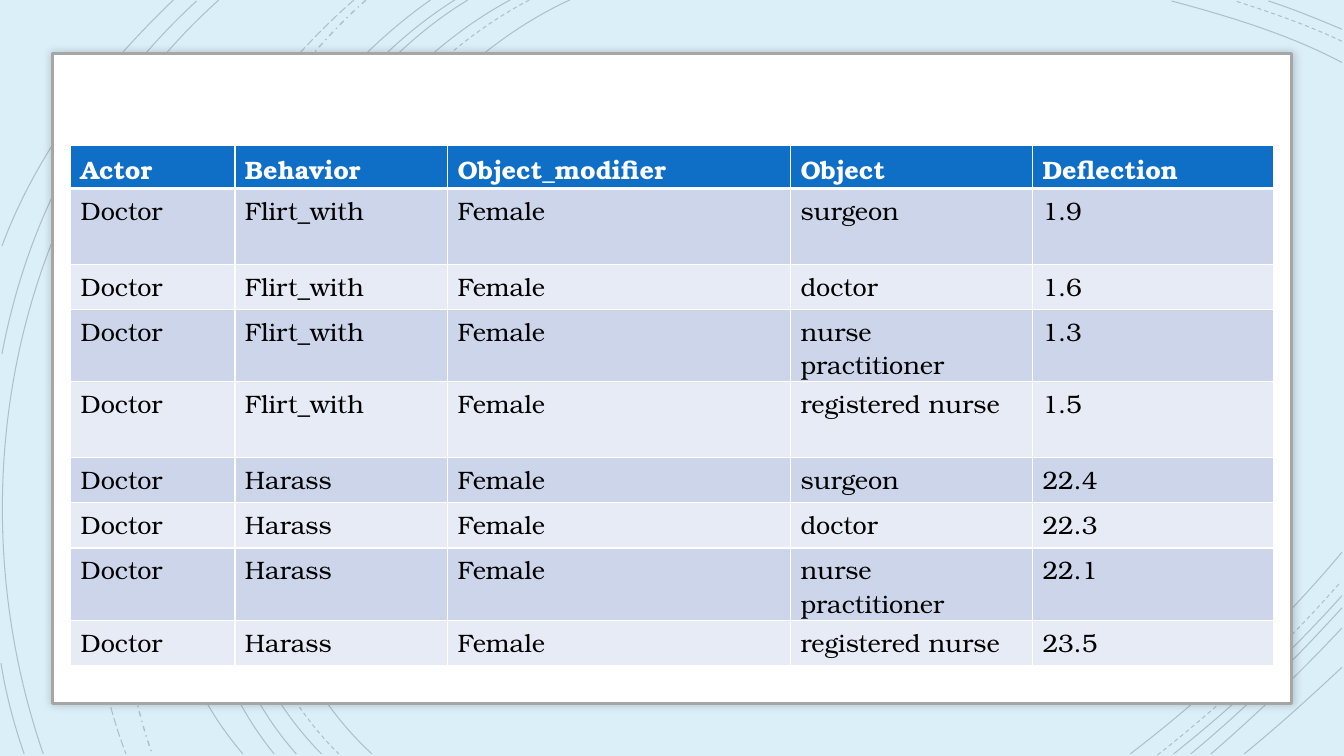
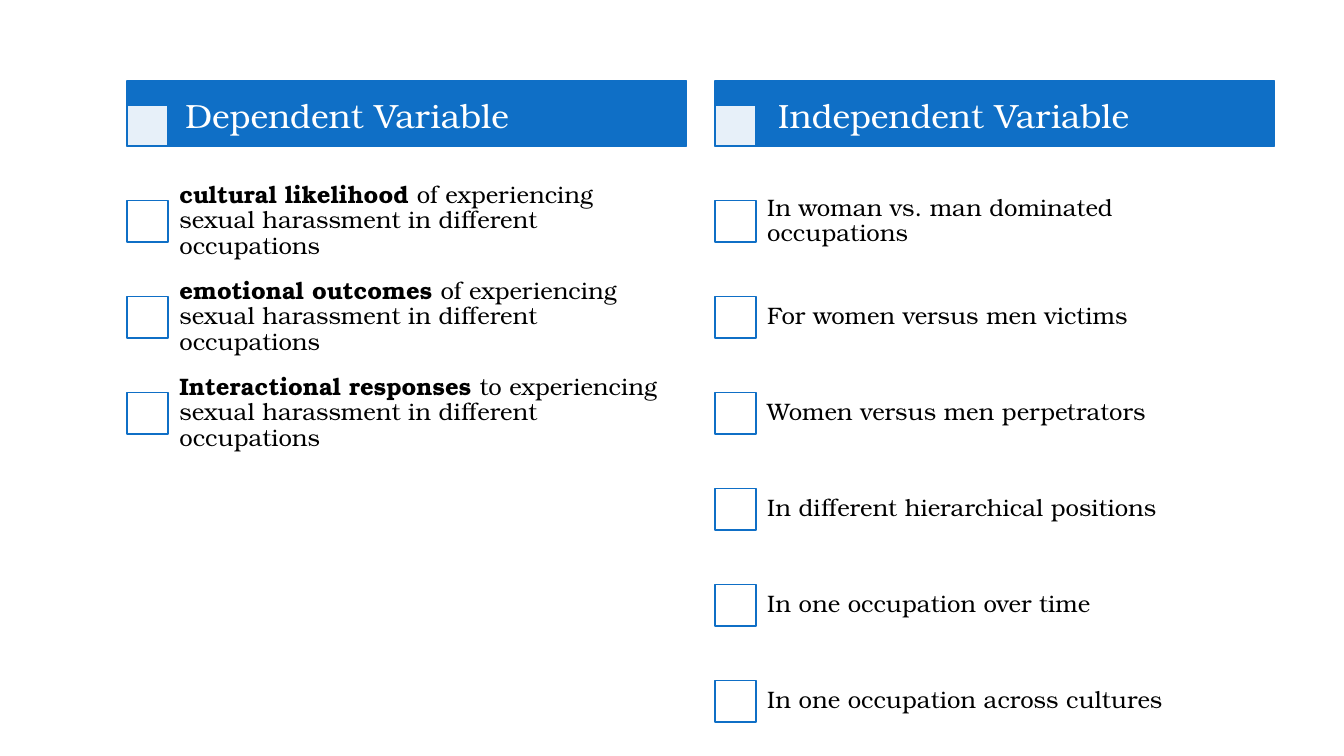
import itertools

import lxml.etree
import pptx
import pptx.dml.color
import pptx.enum.dml
import pptx.enum.shapes
import pptx.enum.text
import pptx.oxml.ns
import pptx.util

Inches = pptx.util.Inches
Pt = pptx.util.Pt
qn = pptx.oxml.ns.qn
Dash = pptx.enum.dml.MSO_LINE

BLUE, WHITE, BLACK = "0F6FC6", "FFFFFF", "000000"
SKY, GREY = "DBEFF9", "A6A6A6"
BANDS = ("CCD5EA", "E7EBF5")

CURVES = [
    ((5.65, 0), (3.15, 1.15), (1.43, 5.4), (3.69, 7.48), Dash.SOLID),
    ((13.31, 0.62), (12.78, 0.34), (12.18, 0.16), (11.62, 0.01), Dash.SOLID),
    ((11.21, 7.48), (11.97, 6.9), (12.69, 6.22), (13.31, 5.48), Dash.SOLID),
    ((5.25, 0), (2.85, 1.25), (1.23, 5.37), (3.36, 7.48), Dash.DASH),
    ((13.31, 0.41), (12.97, 0.25), (12.6, 0.12), (12.25, 0.01), Dash.DASH),
    ((11.48, 7.49), (12.13, 6.98), (12.75, 6.4), (13.3, 5.77), Dash.DASH),
    ((5.06, 0), (2.7, 1.27), (1.1, 5.37), (3.19, 7.48), Dash.SOLID),
    ((13.31, 0.29), (13.07, 0.19), (12.83, 0.09), (12.58, 0.01), Dash.SOLID),
    ((11.64, 7.48), (12.23, 7.01), (12.8, 6.48), (13.31, 5.91), Dash.SOLID),
    ((4.64, 0), (2.44, 1.33), (1.1, 5.41), (2.94, 7.48), Dash.SOLID),
    ((11.81, 7.48), (12.34, 7.04), (12.84, 6.55), (13.31, 6.03), Dash.SOLID),
    ((4.51, 0), (2.31, 1.38), (0.97, 5.33), (2.72, 7.48), Dash.SOLID),
    ((12.01, 7.48), (12.46, 7.09), (12.9, 6.67), (13.31, 6.23), Dash.SOLID),
    ((4.27, 0), (2.17, 1.47), (0.53, 5.29), (2.41, 7.48), Dash.SOLID),
    ((12.34, 7.48), (12.67, 7.21), (12.99, 6.92), (13.31, 6.62), Dash.SOLID),
    ((3.63, 0), (1.76, 1.66), (0.65, 5.09), (1.51, 7.48), Dash.DASH_DOT),
    ((3.51, 0), (1.57, 1.69), (0.29, 4.99), (1.25, 7.48), Dash.LONG_DASH),
    ((2.17, 0), (0.11, 1.85), (-0.46, 4.9), (0.43, 7.48), Dash.SOLID),
    ((1.95, 0.01), (0.92, 0.96), (0.28, 2.14), (0.02, 3.51), Dash.SOLID),
    ((0.01, 6.58), (0.06, 6.89), (0.14, 7.19), (0.24, 7.48), Dash.SOLID),
    ((1.72, 0), (1, 0.69), (0.37, 1.5), (0.02, 2.44), Dash.SOLID),
]

HEADINGS = ("Actor", "Behavior", "Object_modifier", "Object", "Deflection")
BEHAVIORS = ("Flirt_with", "Harass")
OBJECTS = ("surgeon", "doctor", "nurse practitioner", "registered nurse")
DEFLECTIONS = ("1.9", "1.6", "1.3", "1.5", "22.4", "22.3", "22.1", "23.5")
COLUMN_WIDTHS = (1.63, 2.11, 3.4, 2.4, 2.39)
ROW_HEIGHTS = (0.43, 0.75, 0.45, 0.7, 0.75, 0.45, 0.45, 0.7, 0.45)

OUTCOME = "experiencing sexual harassment in different occupations"
DEPENDENT = [
    [("cultural likelihood ", True), ("of " + OUTCOME, False)],
    [("emotional outcomes ", True), ("of " + OUTCOME, False)],
    [("Interactional responses ", True), ("to " + OUTCOME, False)],
]
INDEPENDENT = [
    [(text, False)]
    for text in (
        "In woman vs. man dominated occupations",
        "For women versus men victims",
        "Women versus men perpetrators",
        "In different hierarchical positions",
        "In one occupation over time",
        "In one occupation across cultures",
    )
]


def color(code):
    return pptx.dml.color.RGBColor.from_string(code)


def set_alpha(parent, percent):
    for node in parent.iter(qn("a:srgbClr")):
        lxml.etree.SubElement(node, qn("a:alpha"), val=str(percent * 1000))


class Painter:
    """Holds the deck style and draws elements on the current slide."""

    font = "TeX Gyre Bonum"

    def __init__(self):
        self.deck = pptx.Presentation()
        self.deck.slide_width = Inches(13.33)
        self.deck.slide_height = Inches(7.5)
        self.page = None

    def add_page(self, background):
        self.page = self.deck.slides.add_slide(self.deck.slide_layouts[6])
        self.page.background.fill.solid()
        self.page.background.fill.fore_color.rgb = color(background)

    def style(self, span, size, code, bold=False):
        span.font.name = self.font
        span.font.size = Pt(size)
        span.font.bold = bold
        span.font.color.rgb = color(code)

    def curve(self, start, first, second, end, dash):
        points = [(Inches(x), Inches(y)) for x, y in (start, first, second, end)]
        builder = self.page.shapes.build_freeform(*points[0])
        builder.add_line_segments(points[1:], close=False)
        arc = builder.convert_to_shape()
        segments = list(arc._element.iter(qn("a:lnTo")))
        bezier = lxml.etree.SubElement(segments[0].getparent(), qn("a:cubicBezTo"))
        for segment in segments:
            bezier.append(segment[0])
            segment.getparent().remove(segment)
        arc.shadow.inherit = False
        arc.fill.background()
        arc.line.color.rgb = color(BLACK)
        arc.line.width = Pt(1 if dash == Dash.DASH_DOT else 0.75)
        arc.line.dash_style = dash
        set_alpha(arc._element.spPr.find(qn("a:ln")), 20)

    def rectangle(self, left, top, width, height, fill, line, weight=1.25, opacity=100):
        box = self.page.shapes.add_shape(
            pptx.enum.shapes.MSO_SHAPE.RECTANGLE,
            Inches(left), Inches(top), Inches(width), Inches(height))
        box.shadow.inherit = False
        box.fill.solid()
        box.fill.fore_color.rgb = color(fill)
        if opacity < 100:
            set_alpha(box._element.spPr.find(qn("a:solidFill")), opacity)
        box.line.color.rgb = color(line)
        box.line.width = Pt(weight)
        return box

    def card(self, left, top, width, height):
        box = self.rectangle(left, top, width, height, WHITE, GREY, 1.75)
        effects = box._element.spPr.find(qn("a:effectLst"))
        shadow = lxml.etree.SubElement(
            effects, qn("a:outerShdw"), blurRad=str(Pt(6)), dist="0", dir="0")
        lxml.etree.SubElement(shadow, qn("a:srgbClr"), val=BLACK)
        set_alpha(shadow, 20)

    def text(self, left, top, width, height, spans, size, code=BLACK, inset=None, spacing=None):
        box = self.page.shapes.add_textbox(
            Inches(left), Inches(top), Inches(width), Inches(height))
        frame = box.text_frame
        frame.word_wrap = True
        if inset:
            frame.margin_left = frame.margin_right = Inches(inset)
            frame.margin_top = frame.margin_bottom = Inches(inset)
            frame.vertical_anchor = pptx.enum.text.MSO_ANCHOR.MIDDLE
        para = frame.paragraphs[0]
        para.line_spacing = spacing
        for words, bold in spans:
            span = para.add_run()
            span.text = words
            self.style(span, size, code, bold)

    def borders(self, cell, top, bottom):
        properties = cell._tc.get_or_add_tcPr()
        for side, weight in (("L", 1), ("R", 1), ("T", top), ("B", bottom)):
            edge = lxml.etree.SubElement(properties, qn("a:ln" + side), w=str(Pt(weight)))
            fill = lxml.etree.SubElement(edge, qn("a:solidFill"))
            lxml.etree.SubElement(fill, qn("a:srgbClr"), val=WHITE)

    def table(self, left, top, widths, heights, rows):
        table = self.page.shapes.add_table(
            len(rows), len(widths), Inches(left), Inches(top),
            Inches(sum(widths)), Inches(sum(heights))).table
        for column, width in zip(table.columns, widths):
            column.width = Inches(width)
        for index, (row, height, values) in enumerate(zip(table.rows, heights, rows)):
            row.height = Inches(height)
            header = index == 0
            for cell, value in zip(row.cells, values):
                self.borders(cell, 3 if index == 1 else 1, 3 if header else 1)
                cell.margin_bottom = Inches(0)
                cell.fill.solid()
                cell.fill.fore_color.rgb = color(BLUE if header else BANDS[(index - 1) % 2])
                cell.text_frame.text = value
                span = cell.text_frame.paragraphs[0].runs[0]
                self.style(span, 18, WHITE if header else BLACK, header)

    def checkbox(self, left, top, opacity=100):
        self.rectangle(left, top, 0.41, 0.41, WHITE, BLUE, opacity=opacity)

    def checklist(self, left, heading, heading_left, heading_width, items):
        self.rectangle(left, 0.8, 5.55, 0.65, BLUE, BLUE)
        self.checkbox(left, 1.04, opacity=90)
        for index, spans in enumerate(items):
            top = 1.72 + 4.76 * index / 5
            self.checkbox(left, top + 0.27)
            self.text(left + 0.39, top, 5.14, 0.95, spans, 17, inset=0.13, spacing=0.9)
        self.text(heading_left, 0.89, heading_width, 0.5, [(heading, False)], 24, WHITE)


def main():
    painter = Painter()

    painter.add_page(SKY)
    for curve in CURVES:
        painter.curve(*curve)
    painter.card(0.52, 0.53, 12.29, 6.45)
    events = itertools.product(BEHAVIORS, OBJECTS)
    rows = [HEADINGS] + [
        ("Doctor", behavior, "Female", target, deflection)
        for (behavior, target), deflection in zip(events, DEFLECTIONS)
    ]
    painter.table(0.7, 1.44, COLUMN_WIDTHS, ROW_HEIGHTS, rows)

    painter.add_page(WHITE)
    painter.checklist(1.26, "Dependent Variable", 1.74, 4.44, DEPENDENT)
    painter.checklist(7.09, "Independent Variable", 7.62, 4.27, INDEPENDENT)

    painter.deck.save("out.pptx")


if __name__ == "__main__":
    main()
